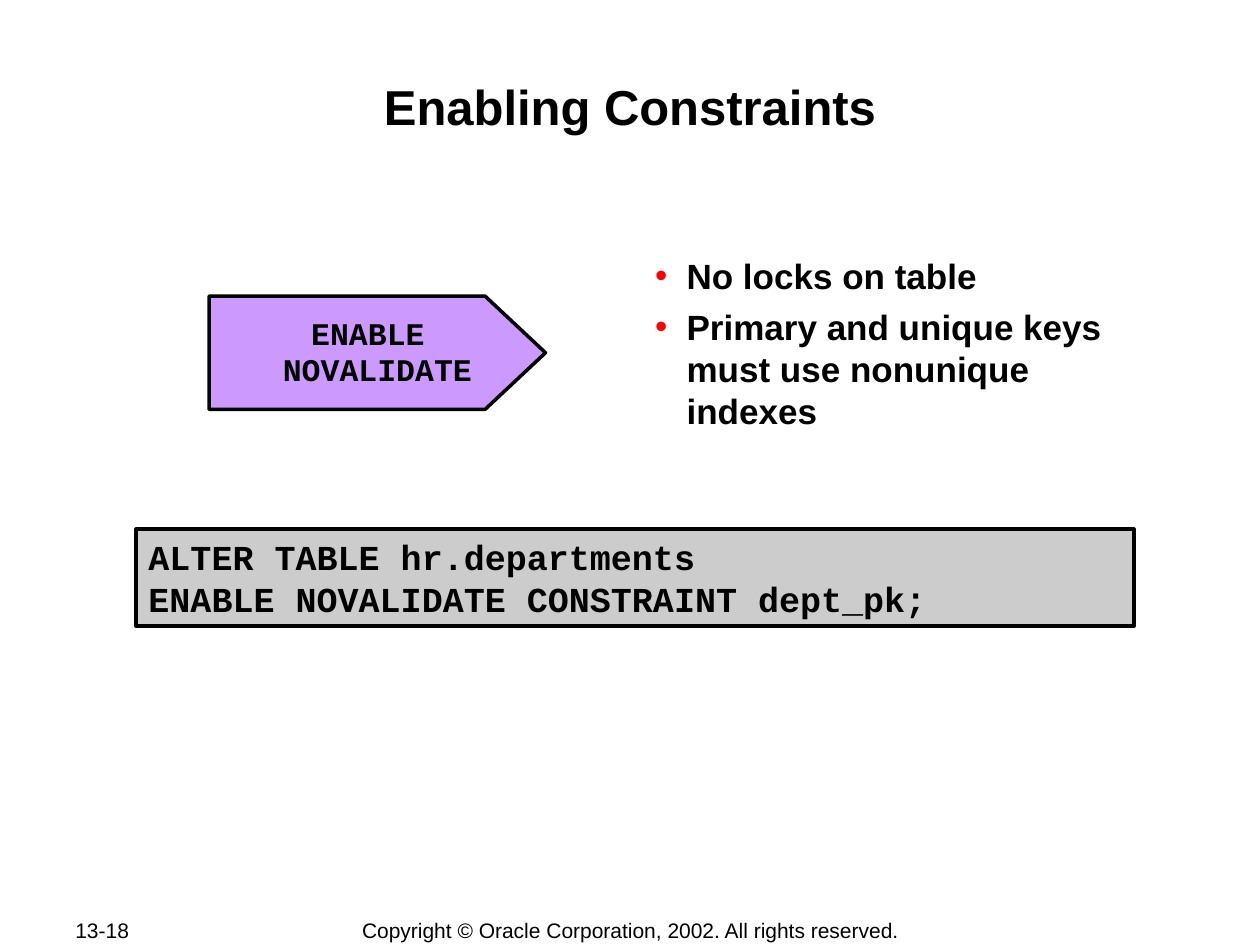
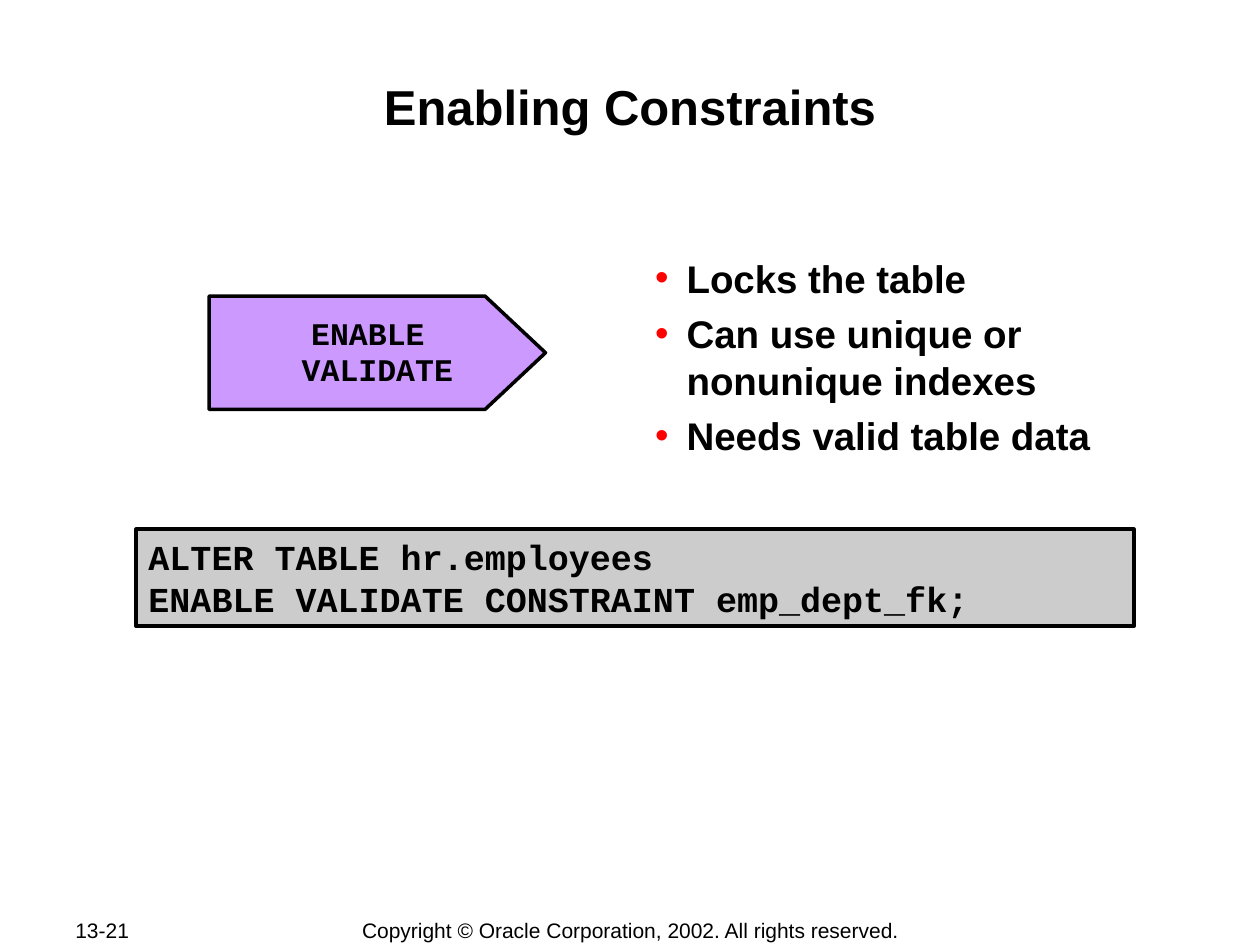
from lxml import etree
from pptx import Presentation
from pptx.dml.color import RGBColor
from pptx.enum import shapes, text
from pptx.oxml import ns
from pptx.util import Inches, Pt

BLACK = RGBColor(0x00, 0x00, 0x00)
RED = RGBColor(0xFF, 0x00, 0x00)
LILAC = RGBColor(0xCC, 0x99, 0xFF)
GRAY = RGBColor(0xCC, 0xCC, 0xCC)
SANS, MONO = "Arial", "Courier New"
LEFT, CENTER = text.PP_ALIGN.LEFT, text.PP_ALIGN.CENTER
TOP, MIDDLE = text.MSO_ANCHOR.TOP, text.MSO_ANCHOR.MIDDLE
COPYRIGHT = "Copyright © Oracle Corporation, 2002. All rights reserved."


def add_bullet(p):
    """Give a paragraph a red bullet with a hanging indent."""
    pPr = p._p.get_or_add_pPr()
    pPr.set("marL", str(Inches(0.38)))
    pPr.set("indent", str(Inches(-0.25)))
    color = etree.SubElement(pPr, ns.qn("a:buClr"))
    etree.SubElement(color, ns.qn("a:srgbClr"), val=str(RED))
    etree.SubElement(pPr, ns.qn("a:buFont"), typeface=SANS)
    etree.SubElement(pPr, ns.qn("a:buChar"), char="•")


def write(sp, *paragraphs, size, font=SANS, bold=True, align=LEFT, anchor=TOP,
          insets=(0.1, 0.05), wrap=True, gap=0, spacing=None, bullets=False):
    """Fill a shape with paragraphs; insets are (sides, top and bottom)."""
    tf = sp.text_frame
    tf.word_wrap = wrap
    tf.vertical_anchor = anchor
    tf.margin_left = tf.margin_right = Inches(insets[0])
    tf.margin_top = tf.margin_bottom = Inches(insets[1])
    for i, content in enumerate(paragraphs):
        p = tf.add_paragraph() if i else tf.paragraphs[0]
        p.text = content
        p.alignment = align
        if i:
            p.space_before = Pt(gap)
        if spacing:
            p.line_spacing = spacing
        if bullets:
            add_bullet(p)
        for r in p.runs:
            r.font.name, r.font.size, r.font.bold = font, Pt(size), bold
            r.font.color.rgb = BLACK


def add_text(s, box, *paragraphs, **fmt):
    write(s.shapes.add_textbox(*map(Inches, box)), *paragraphs, **fmt)


def paint(sp, fill):
    sp.shadow.inherit = False
    sp.fill.solid()
    sp.fill.fore_color.rgb = fill
    sp.line.color.rgb = BLACK
    sp.line.width = Pt(2)


def add_state_arrow(s, state):
    left, top, shoulder, tip, height = 1.66, 2.35, 3.85, 4.33, 0.9
    bottom = top + height
    outline = [(shoulder, top), (tip, top + height / 2), (shoulder, bottom), (left, bottom)]
    builder = s.shapes.build_freeform(Inches(left), Inches(top))
    builder.add_line_segments([(Inches(x), Inches(y)) for x, y in outline])
    sp = builder.convert_to_shape()
    paint(sp, LILAC)
    write(sp, state, size=18, font=MONO, align=CENTER, anchor=MIDDLE,
          insets=(0.05, 0.05), wrap=False, spacing=0.95)


def add_code(s, code):
    box = map(Inches, (1.08, 4.2, 7.92, 0.77))
    sp = s.shapes.add_shape(shapes.MSO_SHAPE.RECTANGLE, *box)
    paint(sp, GRAY)
    write(sp, code, size=20, font=MONO)


def add_constraint_slide(prs, page, state, points, point_size, code):
    s = prs.slides.add_slide(prs.slide_layouts[6])
    add_text(s, (0.5, 7.28, 1.06, 0.2), page, size=12, bold=False, anchor=MIDDLE)
    add_text(s, (2.76, 7.28, 4.49, 0.2), COPYRIGHT, size=12, bold=False,
             align=CENTER, anchor=MIDDLE, wrap=False)
    add_text(s, (1, 0.58, 8, 0.96), "Enabling Constraints", size=28,
             align=CENTER, insets=(0.01, 0.03))
    add_text(s, (5.06, 1.99, 3.94, 1.65), *points, size=point_size,
             insets=(0.01, 0.03), gap=point_size / 4, bullets=True)
    add_state_arrow(s, state)
    add_code(s, code)


def main():
    prs = Presentation()
    prs.slide_width, prs.slide_height = Inches(10), Inches(7.5)
    add_constraint_slide(
        prs, "13-18", "ENABLE \vNOVALIDATE",
        ["No locks on table", "Primary and unique keys must use nonunique indexes"], 20,
        "ALTER TABLE hr.departments\vENABLE NOVALIDATE CONSTRAINT dept_pk;")
    add_constraint_slide(
        prs, "13-21", "ENABLE \vVALIDATE",
        ["Locks the table", "Can use unique or nonunique indexes",
         "Needs valid table data"], 22,
        "ALTER TABLE hr.employees\vENABLE VALIDATE CONSTRAINT emp_dept_fk;")
    prs.save("out.pptx")


if __name__ == "__main__":
    main()
